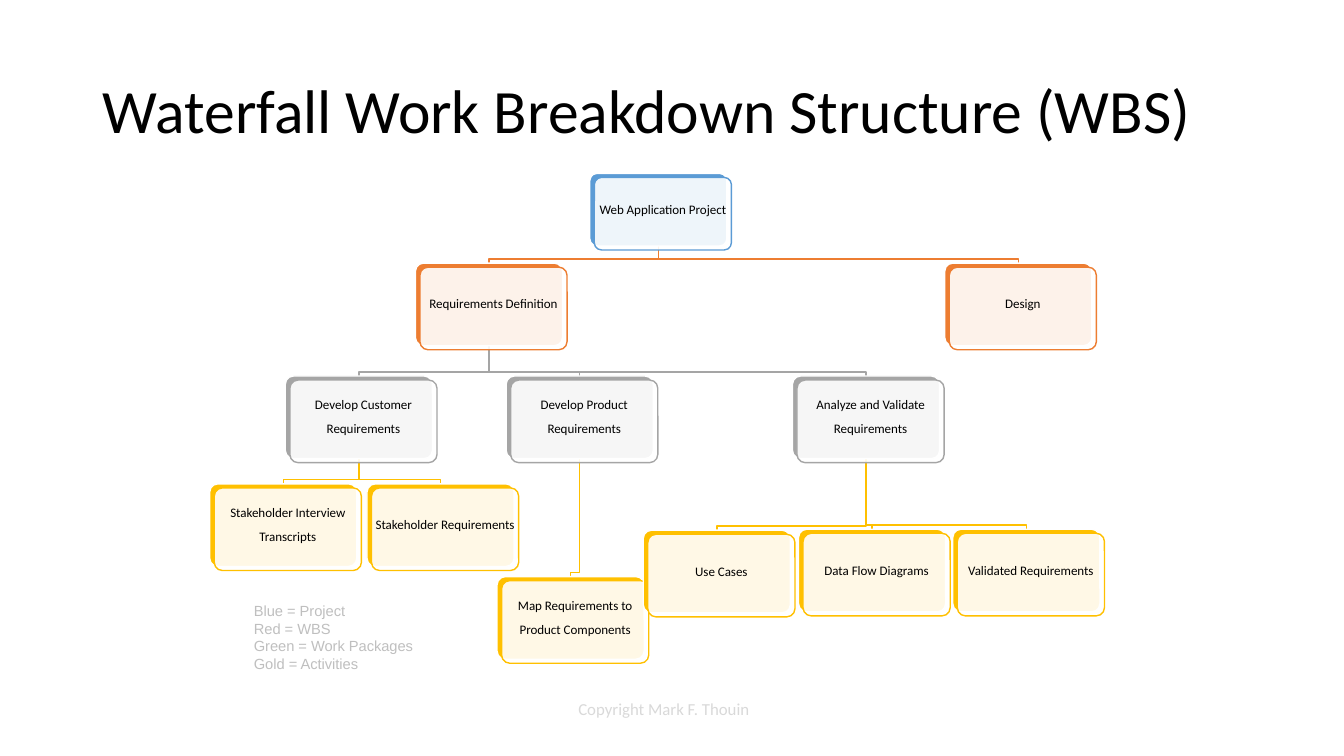
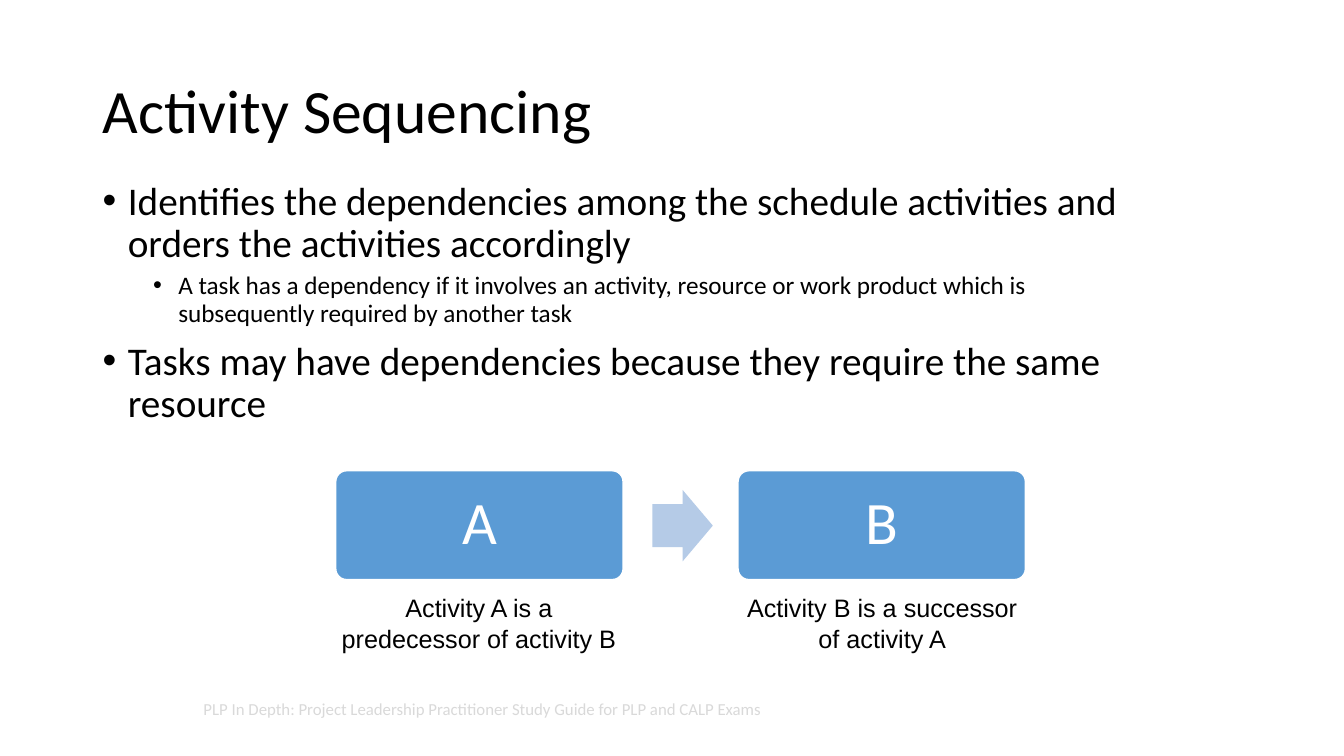
from dataclasses import dataclass

import pptx
import pptx.dml.color
import pptx.enum.shapes
import pptx.enum.text
import pptx.oxml
import pptx.oxml.ns
import pptx.util
from lxml import etree

Inches, Pt = pptx.util.Inches, pptx.util.Pt
ALIGN = pptx.enum.text.PP_ALIGN
ANCHOR = pptx.enum.text.MSO_ANCHOR
SHAPE = pptx.enum.shapes.MSO_SHAPE
qn = pptx.oxml.ns.qn


@dataclass(frozen=True)
class Theme:
    black: str = "000000"
    white: str = "FFFFFF"
    blue: str = "5B9BD5"
    orange: str = "ED7D31"
    gray: str = "A5A5A5"
    gold: str = "FFC000"
    arrow: str = "B5CBE7"
    footer: str = "D9D9D9"
    legend: str = "BFBFBF"
    font: str = "Calibri"
    note_font: str = "Arial"
    title_size: float = 44
    step_size: float = 43
    body_sizes: tuple = (28, 18)
    note_size: float = 18
    node_size: float = 16
    footer_size: float = 12
    legend_size: float = 10.5

    @property
    def levels(self):
        return self.blue, self.orange, self.gray, self.gold


@dataclass(frozen=True)
class Node:
    text: str
    left: float
    top: float
    children: tuple = ()
    width: float = 1.46
    height: float = 0.82

    @property
    def center(self):
        return self.left + self.width / 2

    def walk(self, depth=0):
        yield self, depth
        for child in self.children:
            yield from child.walk(depth + 1)


class Deck:
    def __init__(self, theme):
        self.theme = theme
        self.prs = pptx.Presentation()
        self.prs.slide_width = Inches(13.33)
        self.prs.slide_height = Inches(7.5)
        self.s = None

    def color(self, value):
        return pptx.dml.color.RGBColor.from_string(value)

    def format(self, p, size, color, font=None, align=ALIGN.LEFT, spacing=None):
        p.alignment = align
        if spacing:
            p.line_spacing = spacing
        for r in p.runs:
            r.font.size = Pt(size)
            r.font.name = font or self.theme.font
            r.font.color.rgb = self.color(color)

    def slide(self, title, footer, footer_align):
        """Start a slide with its title and footer."""
        t = self.theme
        self.s = self.prs.slides.add_slide(self.prs.slide_layouts[5])
        sp = self.s.shapes.title
        sp.left, sp.top = Inches(0.92), Inches(0.4)
        sp.width, sp.height = Inches(11.5), Inches(1.45)
        tf = sp.text_frame
        tf.text = title
        tf.auto_size = pptx.enum.text.MSO_AUTO_SIZE.NONE
        tf.vertical_anchor = ANCHOR.MIDDLE
        self.format(tf.paragraphs[0], t.title_size, t.black, spacing=0.9)
        self.text(footer, 1.92, 6.83, 9.33, 0.4, t.footer_size, t.footer,
                  align=footer_align, anchor=ANCHOR.MIDDLE)

    def text(self, text, x, y, w, h, size, color, font=None,
             align=ALIGN.LEFT, anchor=ANCHOR.TOP):
        sp = self.s.shapes.add_textbox(Inches(x), Inches(y), Inches(w), Inches(h))
        tf = sp.text_frame
        tf.word_wrap = True
        tf.vertical_anchor = anchor
        tf.text = text
        for p in tf.paragraphs:
            self.format(p, size, color, font, align)

    def bullets(self, items, x, y, w, h):
        """Add bulleted paragraphs from (level, text) pairs."""
        sp = self.s.shapes.add_textbox(Inches(x), Inches(y), Inches(w), Inches(h))
        tf = sp.text_frame
        tf.word_wrap = True
        tf.text = "\n".join(text for _, text in items)
        for p, (level, _) in zip(tf.paragraphs, items):
            p.level = level
            p.space_before = Pt((10, 5)[level])
            self.format(p, self.theme.body_sizes[level], self.theme.black, spacing=0.9)
            pPr = p._p.get_or_add_pPr()
            pPr.set("marL", str(Inches(0.25 + 0.5 * level)))
            pPr.set("indent", str(Inches(-0.25)))
            etree.SubElement(pPr, qn("a:buFont")).set("typeface", "Arial")
            etree.SubElement(pPr, qn("a:buChar")).set("char", "•")

    def shape(self, kind, x, y, w, h, fill, line=None, adj=(0.1,)):
        sp = self.s.shapes.add_shape(kind, Inches(x), Inches(y), Inches(w), Inches(h))
        sp.shadow.inherit = False
        for i, value in enumerate(adj):
            sp.adjustments[i] = value
        sp.fill.solid()
        sp.fill.fore_color.rgb = self.color(fill)
        if line:
            sp.line.color.rgb = self.color(line)
            sp.line.width = Pt(1)
        else:
            sp.line.fill.background()
        return sp

    def label(self, sp, text, size, color, margin):
        """Center text inside a shape."""
        tf = sp.text_frame
        tf.word_wrap = True
        tf.vertical_anchor = ANCHOR.MIDDLE
        tf.margin_left = tf.margin_right = Inches(margin)
        tf.margin_top = tf.margin_bottom = Inches(margin)
        tf.text = text
        self.format(tf.paragraphs[0], size, color, align=ALIGN.CENTER, spacing=0.9)
        return tf.paragraphs[0].runs[0]

    def branch(self, parent, child, color):
        """Draw the elbow from a parent down to a child."""
        start = parent.top + parent.height
        bend = child.top - 0.04
        points = [(parent.center, bend), (child.center, bend), (child.center, child.top)]
        outline = self.s.shapes.build_freeform(Inches(parent.center), Inches(start))
        outline.add_line_segments([(Inches(x), Inches(y)) for x, y in points], close=False)
        sp = outline.convert_to_shape()
        sp.shadow.inherit = False
        sp.fill.background()
        sp.line.color.rgb = self.color(color)
        sp.line.width = Pt(1)

    def node(self, node, color):
        """Draw a colored card with a translucent card in front."""
        t = self.theme
        size = node.width, node.height
        self.shape(SHAPE.ROUNDED_RECTANGLE, node.left, node.top, *size, color, t.white)
        sp = self.shape(SHAPE.ROUNDED_RECTANGLE, node.left + 0.045, node.top + 0.04,
                        *size, t.white, color)
        rgb = sp._element.spPr.find(qn("a:solidFill")).find(qn("a:srgbClr"))
        etree.SubElement(rgb, qn("a:alpha")).set("val", "90000")
        r = self.label(sp, node.text, t.node_size, t.black, 0)
        r._r.get_or_add_rPr().set("baseline", "30000")

    def tree(self, root):
        levels = self.theme.levels
        for parent, depth in root.walk():
            for child in parent.children:
                self.branch(parent, child, levels[depth + 1])
        for node, depth in root.walk():
            self.node(node, levels[depth])


WBS = Node("Web Application Project", 5.85, 1.72, (
    Node("Requirements Definition", 4.12, 2.61, (
        Node("Develop Customer Requirements", 2.83, 3.73, (
            Node("Stakeholder Interview Transcripts", 2.08, 4.8),
            Node("Stakeholder Requirements", 3.64, 4.8))),
        Node("Develop Product Requirements", 5.02, 3.73, (
            Node("Map Requirements to Product Components", 4.93, 5.72),)),
        Node("Analyze and Validate Requirements", 7.86, 3.73, (
            Node("Use Cases", 6.38, 5.26),
            Node("Data Flow Diagrams", 7.92, 5.25),
            Node("Validated Requirements", 9.45, 5.25))))),
    Node("Design", 9.37, 2.61)), 1.36, 0.72)

LEGEND = ("Blue = Project", "Red = WBS", "Green = Work Packages", "Gold = Activities")

SEQUENCING = (
    (0, "Identifies the dependencies among the schedule activities and orders "
        "the activities accordingly"),
    (1, "A task has a dependency if it involves an activity, resource or work "
        "product which is subsequently required by another task"),
    (0, "Tasks may have dependencies because they require the same resource"))

STEPS = (("A", "Activity A is a predecessor of activity B"),
         ("B", "Activity B is a successor of activity A"))


def main():
    t = Theme()
    deck = Deck(t)

    # Work breakdown structure
    deck.slide("Waterfall Work Breakdown Structure (WBS)",
               "Copyright Mark F. Thouin", ALIGN.CENTER)
    deck.tree(WBS)
    deck.text("\n".join(LEGEND), 2.42, 5.92, 7.33, 0.81,
              t.legend_size, t.legend, t.note_font)

    # Activity sequencing
    deck.slide("Activity Sequencing",
               "PLP In Depth: Project Leadership Practitioner Study Guide "
               "for PLP and CALP Exams", ALIGN.LEFT)
    deck.bullets(SEQUENCING, 0.92, 1.75, 10.34, 2.75)
    for i, (letter, note) in enumerate(STEPS):
        sp = deck.shape(SHAPE.ROUNDED_RECTANGLE, 3.33 + 3.99 * i, 4.67, 2.85, 1.08,
                        t.blue, t.white)
        deck.label(sp, letter, t.step_size, t.white, 0.18)
        deck.text(note, 3.25 + 4 * i, 5.83, 3, 0.71, t.note_size, t.black,
                  t.note_font, ALIGN.CENTER)
    deck.shape(SHAPE.RIGHT_ARROW, 6.47, 4.86, 0.6, 0.71, t.arrow, adj=(0.6, 0.5))

    deck.prs.save("out.pptx")


if __name__ == "__main__":
    main()
